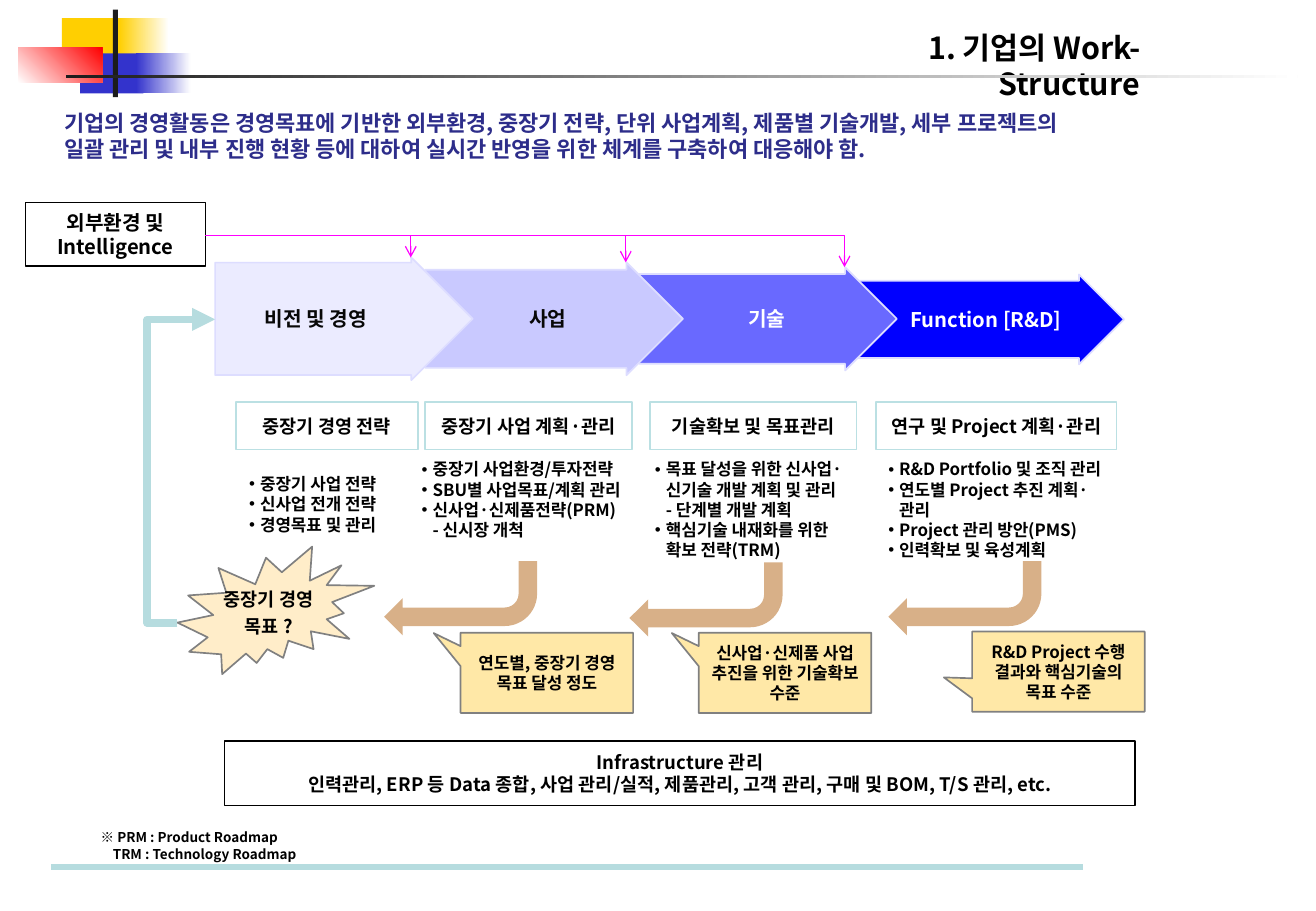
from lxml import etree
from pptx import Presentation
from pptx import util as u
from pptx.dml import color
from pptx.enum import shapes, text
from pptx.oxml import ns

SHAPE = shapes.MSO_SHAPE
LEFT, CENTER, RIGHT = text.PP_ALIGN.LEFT, text.PP_ALIGN.CENTER, text.PP_ALIGN.RIGHT
TOP, MIDDLE = text.MSO_ANCHOR.TOP, text.MSO_ANCHOR.MIDDLE


def rgb(code):
    return color.RGBColor.from_string(code)


def add_xml(parent, tag, **attributes):
    return etree.SubElement(parent, ns.qn(tag), **attributes)


class Board:
    """Holds the style and the slide being filled."""
    font = "Noto Sans CJK KR"
    teal, grey, black = "B6DCDF", "808080", "000000"

    def __init__(self, slide):
        self.slide = slide

    def set_text(self, shape, lines, size, ink=black, align=CENTER, anchor=MIDDLE, wrap=False,
                 margins=(0.06, 0.05, 0.06, 0.05), gap=0, bullet=False):
        frame = shape.text_frame
        frame.auto_size = text.MSO_AUTO_SIZE.NONE
        frame.word_wrap = wrap
        frame.vertical_anchor = anchor
        (frame.margin_left, frame.margin_top,
         frame.margin_right, frame.margin_bottom) = map(u.Inches, margins)
        for i, line in enumerate(lines):
            paragraph = frame.paragraphs[0] if i == 0 else frame.add_paragraph()
            paragraph.text = line
            paragraph.alignment = align
            paragraph.line_spacing = u.Pt(round(size * 1.2, 1))
            paragraph.space_before = u.Pt(gap if i else 0)
            if bullet:
                properties = paragraph._p.get_or_add_pPr()
                properties.set("marL", str(u.Inches(0.09)))
                properties.set("indent", str(u.Inches(-0.09)))
                add_xml(properties, "a:buFont", typeface="Arial")
                add_xml(properties, "a:buChar", char="•")
            font = paragraph.font
            font.size, font.bold, font.name = u.Pt(size), True, self.font
            font.color.rgb = rgb(ink)
            add_xml(font._element, "a:ea", typeface=self.font)
        return frame

    def box(self, at, fill, line=None, kind=SHAPE.RECTANGLE, width=1, adjust=(), rotation=0):
        shape = self.slide.shapes.add_shape(kind, *map(u.Inches, at))
        shape.shadow.inherit = False
        shape.fill.solid()
        shape.fill.fore_color.rgb = rgb(fill)
        if line:
            shape.line.color.rgb = rgb(line)
            shape.line.width = u.Pt(width)
        else:
            shape.line.fill.background()
        for i, value in enumerate(adjust):
            shape.adjustments[i] = value
        shape.rotation = rotation
        return shape

    def fade(self, at, start, end, angle=0):
        fill = self.box(at, start).fill
        fill.gradient()
        fill.gradient_angle = angle
        for stop, code in zip(fill.gradient_stops, (start, end)):
            stop.color.rgb = rgb(code)

    def label(self, at, lines, size, **style):
        shape = self.slide.shapes.add_textbox(*map(u.Inches, at))
        return self.set_text(shape, lines, size, align=LEFT, anchor=TOP,
                             margins=(0.1, 0.05, 0.1, 0.05), **style)

    def placeholder(self, shape, at, lines, size, **style):
        shape.left, shape.top, shape.width, shape.height = map(u.Inches, at)
        self.set_text(shape, lines, size, anchor=TOP, wrap=True,
                      margins=(0.1, 0.05, 0.1, 0.05), **style)

    def connect(self, start, end, ink, width, kind="line", head=None, bend=None):
        straight = kind == "line"
        route = shapes.MSO_CONNECTOR.STRAIGHT if straight else shapes.MSO_CONNECTOR.ELBOW
        link = self.slide.shapes.add_connector(route, *map(u.Inches, start + end))
        link.line.color.rgb = rgb(ink)
        link.line.width = u.Pt(width)
        properties = link._element.spPr
        geometry = properties.find(ns.qn("a:prstGeom"))
        geometry.set("prst", kind)
        if bend is not None:
            guides = geometry.find(ns.qn("a:avLst"))
            add_xml(guides, "a:gd", name="adj1", fmla=f"val {round(bend * 100000)}")
        if head:
            add_xml(link.line._get_or_add_ln(), "a:tailEnd", type=head)
        add_xml(properties, "a:effectLst")


def draw_decoration(board):
    board.box((0.51, 0.15, 0.54, 0.33), "FFCF01")
    board.fade((0.98, 0.15, 0.41, 0.33), "FFCF01", "FFFFFF")
    board.box((0.66, 0.44, 0.52, 0.33), "3333CC")
    board.fade((1.12, 0.44, 0.45, 0.33), "3333CC", "FFFFFF")
    board.fade((0.15, 0.39, 0.69, 0.29), "FFFFFF", "FF0000", 45)
    board.box((0.93, 0.08, 0.04, 0.72), "1C1C1C")
    board.fade((0.54, 0.62, 10.14, 0.02), "1C1C1C", "FFFFFF")
    board.connect((0.42, 7.14), (8.91, 7.14), board.teal, 3.5)


def draw_stages(board):
    stages = [
        ("Function [R&D]", (7.05, 2.26, 2.2, 0.74), 0.858, "0000FF", "FFFFFF", 0.25),
        ("기술", (5.26, 2.2, 2.12, 0.85), 0.87, "6969FF", "FFFFFF", 0.35),
        ("사업", (3.5, 2.16, 2.12, 0.93), 0.869, "C9C9FF", "080808", 0.3),
        ("비전 및 경영", (1.77, 2.12, 2.12, 1.01), 0.917, "EBEBFF", "080808", 0),
    ]
    for name, at, body, fill, ink, overlap in stages:
        arrow = board.box(at, fill, "DDDDFF", SHAPE.RIGHT_ARROW, adjust=(body, 0.5))
        board.set_text(arrow, [name], 12, ink, margins=(0.06 + overlap, 0.05, 0.06, 0.05))


def draw_plans(board, bodies):
    plans = [
        ("중장기 경영 전략", 1.94, 1.5, (1.95, 3.85, 1.42, 0.61),
         ["중장기 사업 전략", "신사업 전개 전략", "경영목표 및 관리"]),
        ("중장기 사업 계획·관리", 3.5, 1.7, (3.37, 3.73, 1.98, 0.77),
         ["중장기 사업환경/투자전략", "SBU별 사업목표/계획 관리",
          "신사업·신제품전략(PRM)\n- 신시장 개척"]),
        ("기술확보 및 목표관리", 5.35, 1.7, (5.29, 3.73, 1.89, 0.94),
         ["목표 달성을 위한 신사업·\n신기술 개발 계획 및 관리\n- 단계별 개발 계획",
          "핵심기술 내재화를 위한\n확보 전략(TRM)"]),
        ("연구 및 Project 계획·관리", 7.21, 1.98, (7.21, 3.73, 2.05, 0.94),
         ["R&D Portfolio 및 조직 관리", "연도별 Project 추진 계획·관리",
          "Project 관리 방안(PMS)", "인력확보 및 육성계획"]),
    ]
    for (heading, left, width, at, items), body in zip(plans, bodies):
        board.set_text(board.box((left, 3.31, width, 0.39), "FFFFFF", "BBE0E3"), [heading], 11)
        board.placeholder(body, at, items, 10, align=LEFT, bullet=True)


def draw_feedback(board):
    feedback = [
        ((7.31, 4.62), (8, 5.2), (-0.664, 0.072),
         ["R&D Project 수행\n결과와 핵심기술의\n목표 수준"]),
        ((5.18, 4.63), (5.75, 5.21), (-0.656, -0.496),
         ["신사업·신제품 사업\n추진을 위한 기술확보\n수준"]),
        ((3.16, 4.62), (3.79, 5.21), (-0.656, -0.496),
         ["연도별, 중장기 경영", "목표 달성 정도"]),
    ]
    for arrow, callout, pointer, lines in feedback:
        board.box(arrow + (1.26, 0.61), "D8B088", kind=SHAPE.BENT_ARROW, rotation=180)
        note = board.box(callout + (1.42, 0.66), "FFE8A7", board.grey,
                         SHAPE.RECTANGULAR_CALLOUT, adjust=pointer)
        board.set_text(note, lines, 10)
    goal = board.box((1.46, 4.5, 1.62, 1.05), "FFEDC9", board.grey, SHAPE.EXPLOSION2)
    board.set_text(goal, ["중장기 경영", "목표 ?"], 11, gap=3)
    board.connect((1.46, 5.13), (1.77, 2.63), board.teal, 4.5,
                  "bentConnector3", "triangle", -0.8)


def draw_environment(board):
    environment = board.box((0.21, 1.67, 1.48, 0.52), "FFFFFF", board.black, width=0.75)
    board.set_text(environment, ["외부환경 및", "Intelligence"], 12)
    for stage_top in ((3.38, 2.12), (5.15, 2.16), (6.95, 2.2)):
        board.connect((1.69, 1.94), stage_top, "FF00FF", 0.75, "bentConnector2", "arrow")


def main():
    deck = Presentation()
    deck.slide_width, deck.slide_height = u.Inches(10.83), u.Inches(7.5)
    slide = deck.slides.add_slide(deck.slide_layouts[4])
    board = Board(slide)
    title, *bodies = list(slide.placeholders)[:5]

    draw_decoration(board)
    board.placeholder(title, (7.3, 0.19, 2.18, 0.7), ["1. 기업의 Work-Structure"], 18,
                      align=RIGHT)
    board.label((0.43, 0.85, 9.37, 0.54), [
        "기업의 경영활동은 경영목표에 기반한 외부환경, 중장기 전략, 단위 사업계획, "
        "제품별 기술개발, 세부 프로젝트의\n"
        "일괄 관리 및 내부 진행 현황 등에 대하여 실시간 반영을 위한 체계를 구축하여 대응해야 함."],
        13, ink="2D2D8A")
    draw_stages(board)
    draw_plans(board, bodies)
    draw_feedback(board)
    draw_environment(board)
    infrastructure = board.box((1.85, 6.1, 7.49, 0.53), "FFFFFF", board.black, width=0.75)
    board.set_text(infrastructure, [
        "Infrastructure 관리",
        "인력관리, ERP 등 Data 종합, 사업 관리/실적, 제품관리, 고객 관리, "
        "구매 및 BOM, T/S 관리, etc."], 11)
    glossary = board.label((0.73, 6.78, 1.89, 0.37),
                           ["※ PRM : Product Roadmap", "TRM : Technology Roadmap"], 8)
    glossary.paragraphs[1]._p.get_or_add_pPr().set("marL", str(u.Inches(0.1)))
    deck.save("out.pptx")


if __name__ == "__main__":
    main()
